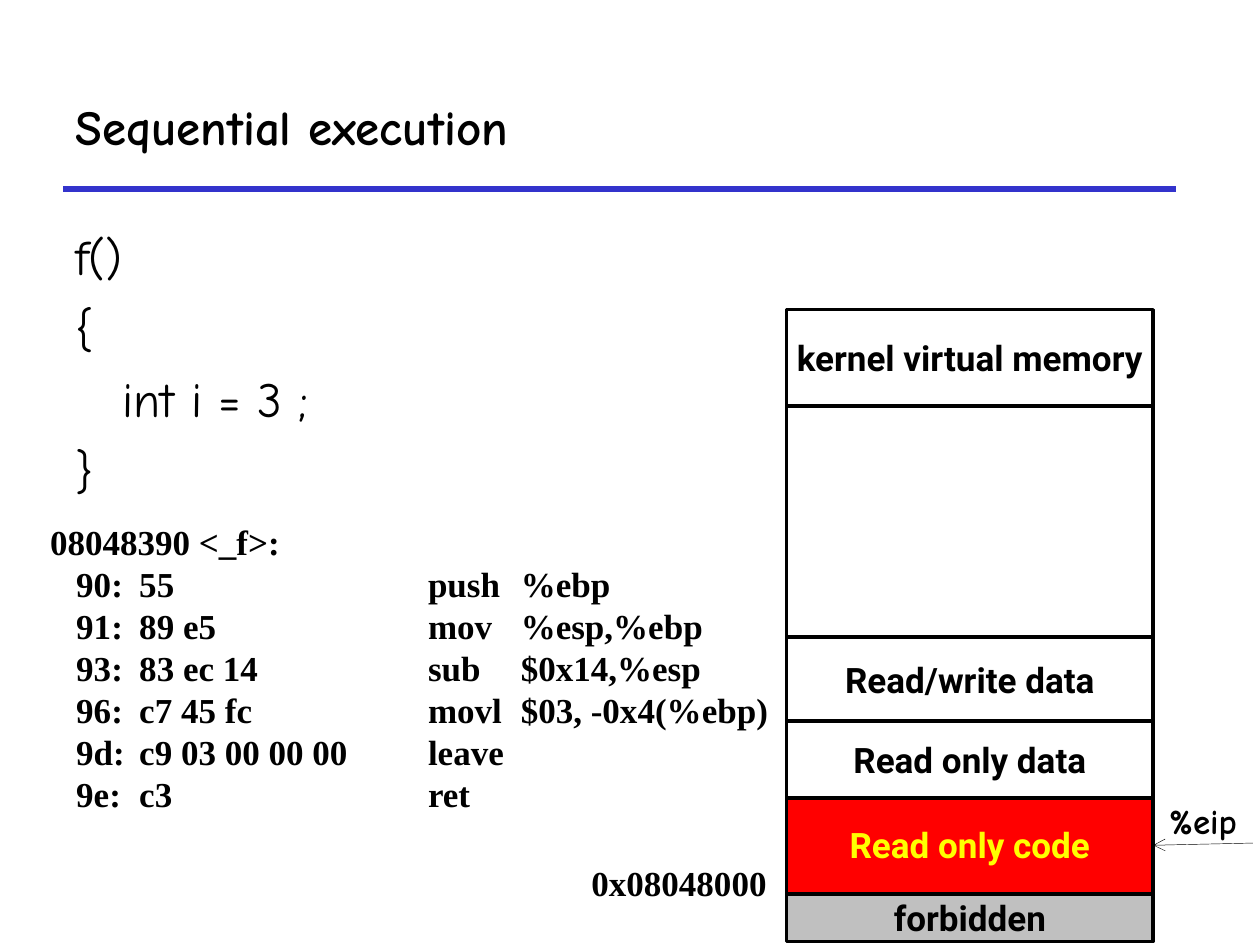
from dataclasses import dataclass

from lxml.etree import SubElement
from pptx import Presentation
from pptx.dml.color import RGBColor
from pptx.enum.shapes import MSO_CONNECTOR, MSO_SHAPE
from pptx.enum.text import MSO_ANCHOR, PP_ALIGN
from pptx.oxml.ns import qn
from pptx.util import Pt


@dataclass(frozen=True)
class Theme:
    black: str = "000000"
    white: str = "FFFFFF"
    blue: str = "3333CC"
    red: str = "FF0000"
    yellow: str = "FFFF00"
    gray: str = "C0C0C0"
    heading_size: int = 28
    label_size: int = 20
    hand: str = "Comic Neue"
    sans: str = "Roboto"
    serif: str = "Times New Roman"


theme = Theme()
deck = Presentation()
deck.slide_width, deck.slide_height = Pt(720), Pt(540)
page = deck.slides.add_slide(deck.slide_layouts[6])


def write(shape, lines, font_name, size, bold=True, color=theme.black, align=PP_ALIGN.LEFT):
    """Fill a shape with one styled paragraph per line and return the paragraphs."""
    frame = shape.text_frame
    for index, line in enumerate(lines):
        para = frame.paragraphs[0] if index == 0 else frame.add_paragraph()
        para.text = line
        para.alignment = align
        for span in para.runs:
            span.font.name = font_name
            span.font.size = Pt(size)
            span.font.bold = bold
            span.font.color.rgb = RGBColor.from_string(color)
    return frame.paragraphs


def add_line(start, end, color, width):
    line = page.shapes.add_connector(MSO_CONNECTOR.STRAIGHT, *map(Pt, start + end))
    line.line.color.rgb = RGBColor.from_string(color)
    line.line.width = Pt(width)
    SubElement(line._element.spPr, qn("a:effectLst"))
    return line


# Title and rule
add_line((36, 108), (672, 108), theme.blue, 3)
title = page.shapes.add_textbox(Pt(36), Pt(36), Pt(636), Pt(72))
title.text_frame.word_wrap = True
title.text_frame.vertical_anchor = MSO_ANCHOR.MIDDLE
write(title, ["Sequential execution"], theme.hand, theme.heading_size)

# C source
source = page.shapes.add_textbox(Pt(36), Pt(126), Pt(222), Pt(348))
source.text_frame.word_wrap = True
source_lines = ["f()", "{", "int i = 3 ;", "}"]
source_paras = write(source, source_lines, theme.hand, theme.heading_size, bold=False)
for para in source_paras[1:]:
    para.space_before = Pt(7)
source_paras[2]._p.get_or_add_pPr().set("marL", str(Pt(27)))

# Disassembly, with tab stops for bytes, mnemonic and operands
listing = page.shapes.add_textbox(Pt(21.5), Pt(293.75), Pt(444), Pt(348 - 120))
listing.text_frame.word_wrap = True
listing_lines = [
    "08048390 <_f>:",
    "   90:\t55\tpush\t%ebp",
    "   91:\t89 e5\tmov\t%esp,%ebp",
    "   93:\t83 ec 14\tsub\t$0x14,%esp",
    "   96:\tc7 45 fc\tmovl\t$03, -0x4(%ebp)",
    "   9d:\tc9 03 00 00 00\tleave",
    "   9e:\tc3\tret",
]
for para in write(listing, listing_lines, theme.serif, theme.label_size):
    tabs = SubElement(para._p.get_or_add_pPr(), qn("a:tabLst"))
    for stop in (51, 216, 269):
        SubElement(tabs, qn("a:tab"), pos=str(Pt(stop)), algn="l")

# Memory map: label, top, height, fill, text colour
segments = [
    ("kernel virtual memory", 177, 55, theme.white, theme.black),
    ("", 232, 156, theme.white, theme.black),
    ("Read only code", 453.5, 58.5, theme.red, theme.yellow),
    ("Read only data", 412, 44, theme.white, theme.black),
    ("Read/write data", 364, 48, theme.white, theme.black),
    ("forbidden", 511, 27, theme.gray, theme.black),
]
for label, top, height, fill, color in segments:
    box = page.shapes.add_shape(MSO_SHAPE.RECTANGLE, Pt(449.5), Pt(top), Pt(209.5), Pt(height))
    box.shadow.inherit = False
    box.fill.solid()
    box.fill.fore_color.rgb = RGBColor.from_string(fill)
    box.line.color.rgb = RGBColor.from_string(theme.black)
    box.line.width = Pt(2)
    if label:
        box.text_frame.word_wrap = False
        box.text_frame.vertical_anchor = MSO_ANCHOR.MIDDLE
        write(box, [label], theme.sans, theme.label_size, color=color, align=PP_ALIGN.CENTER)

# Address and instruction pointer
for label, left, top, width, font_name in [
    ("0x08048000", 330.5, 489, 115, theme.serif),
    ("%eip", 658, 453.5, 59, theme.hand),
]:
    tag = page.shapes.add_textbox(Pt(left), Pt(top), Pt(width), Pt(31.5))
    tag.text_frame.word_wrap = False
    write(tag, [label], font_name, theme.label_size, align=PP_ALIGN.CENTER)

pointer = add_line((716, 481.75), (659, 483), theme.black, 0.25)
SubElement(pointer.line._get_or_add_ln(), qn("a:tailEnd"), type="arrow")

deck.save("out.pptx")
